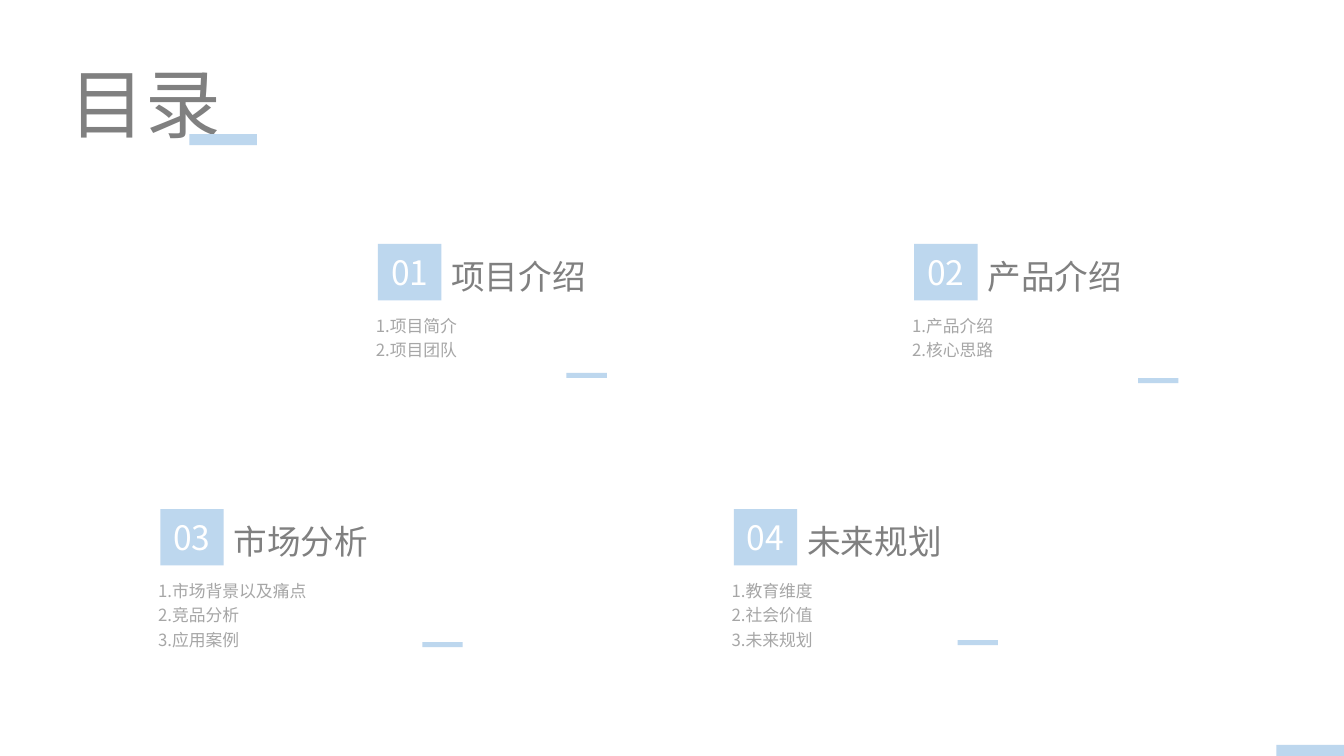
"""Build the contents slide."""
from dataclasses import dataclass

from lxml import etree
from pptx import Presentation
from pptx import util as u
from pptx.dml.color import RGBColor
from pptx.enum import shapes, text
from pptx.oxml.ns import qn


@dataclass(frozen=True)
class Theme:
    """Colours, fonts and type sizes of the slide."""
    accent: str = "BDD7EE"
    heading: str = "808080"
    body: str = "A6A6A6"
    light: str = "FFFFFF"
    heading_font: str = "Arial"
    body_font: str = "Noto Sans CJK SC"
    title_size: int = 54
    heading_size: int = 24
    body_size: int = 12


@dataclass(frozen=True)
class Section:
    """One numbered section, with grid positions of its badge and dash."""
    heading: str
    items: tuple
    badge: tuple
    dash: tuple
    heading_width: float
    list_width: float


THEME = Theme()
COLUMNS, ROWS = 133.33, 75
CELL = u.Inches(0.1)
BADGE_WIDTH, BADGE_HEIGHT = 6.3, 5.6
BAR_SIZE = (6.7, 1.1)
DASH_SIZE = (4, 0.5)

SECTIONS = (
    Section("项目介绍", ("项目简介", "项目团队"), (37.5, 24.2), (56.2, 37), 28.3, 24.9),
    Section("产品介绍", ("产品介绍", "核心思路"), (90.7, 24.2), (112.9, 37.5), 28.6, 28.6),
    Section("市场分析", ("市场背景以及痛点", "竞品分析", "应用案例"),
            (15.9, 50.5), (41.9, 63.7), 28.3, 32.3),
    Section("未来规划", ("教育维度", "社会价值", "未来规划"),
            (72.8, 50.5), (95, 63.5), 28.3, 28.3),
)


def grid(*cells):
    """Convert grid cells to slide lengths."""
    return [u.Emu(round(cell * CELL)) for cell in cells]


def write(shape, lines, *, size, color, font, align=text.PP_ALIGN.LEFT,
          anchor=text.MSO_ANCHOR.TOP, spacing=1.0, before=0):
    """Write lines as formatted paragraphs into a shape."""
    frame = shape.text_frame
    frame.text = "\n".join(lines)
    frame.word_wrap = True
    frame.auto_size = text.MSO_AUTO_SIZE.SHAPE_TO_FIT_TEXT
    frame.vertical_anchor = anchor
    for paragraph in frame.paragraphs:
        paragraph.alignment = align
        paragraph.line_spacing = spacing
        paragraph.space_before = u.Pt(before)
        for run in paragraph.runs:
            run.font.size = u.Pt(size)
            run.font.name = font
            run.font.color.rgb = RGBColor.from_string(color)
            properties = run.font._element
            properties.set("lang", "zh-CN")
            etree.SubElement(properties, qn("a:ea"), typeface=THEME.body_font)


def add_block(slide, left, top, width, height):
    """Add a plain accent rectangle."""
    shape = slide.shapes.add_shape(
        shapes.MSO_SHAPE.RECTANGLE, *grid(left, top, width, height))
    shape.shadow.inherit = False
    shape.fill.solid()
    shape.fill.fore_color.rgb = RGBColor.from_string(THEME.accent)
    shape.line.fill.background()
    return shape


def add_text(slide, box, lines, **style):
    """Add a text box holding formatted lines."""
    write(slide.shapes.add_textbox(*grid(*box)), lines, **style)


def add_title(slide, title):
    """Place the title and its accent bar."""
    shape = slide.shapes.title
    shape.left, shape.top, shape.width, shape.height = grid(5.9, 6.2, 66.6, 10.1)
    write(shape, [title], size=THEME.title_size, color=THEME.heading,
          font=THEME.heading_font, spacing=0.9)
    add_block(slide, 18.8, 13.3, *BAR_SIZE)


def add_section(slide, number, section):
    """Add a badge, heading, numbered list and dash."""
    left, top = section.badge
    badge = add_block(slide, left, top, BADGE_WIDTH, BADGE_HEIGHT)
    write(badge, [f"{number:02}"], size=THEME.heading_size, color=THEME.light,
          font=THEME.body_font, align=text.PP_ALIGN.CENTER,
          anchor=text.MSO_ANCHOR.MIDDLE)
    add_text(slide, (left + BADGE_WIDTH, top + 1.15, section.heading_width, 4.6),
             [section.heading], size=THEME.heading_size, color=THEME.heading,
             font=THEME.heading_font, spacing=0.9, before=10)
    lines = [f"{index}.{item}" for index, item in enumerate(section.items, 1)]
    add_text(slide, (left - 1.2, top + 6.25, section.list_width, 0.9 + 2.4 * len(lines)),
             lines, size=THEME.body_size, color=THEME.body, font=THEME.body_font,
             align=text.PP_ALIGN.JUSTIFY, spacing=1.2)
    add_block(slide, *section.dash, *DASH_SIZE)


def main():
    """Build and save the presentation."""
    presentation = Presentation()
    presentation.slide_width, presentation.slide_height = grid(COLUMNS, ROWS)
    slide = presentation.slides.add_slide(presentation.slide_layouts[5])
    bar_width, bar_height = BAR_SIZE
    add_block(slide, COLUMNS - bar_width, ROWS - bar_height, bar_width, bar_height)
    add_title(slide, "目录")
    for number, section in enumerate(SECTIONS, 1):
        add_section(slide, number, section)
    presentation.save("out.pptx")


if __name__ == "__main__":
    main()
